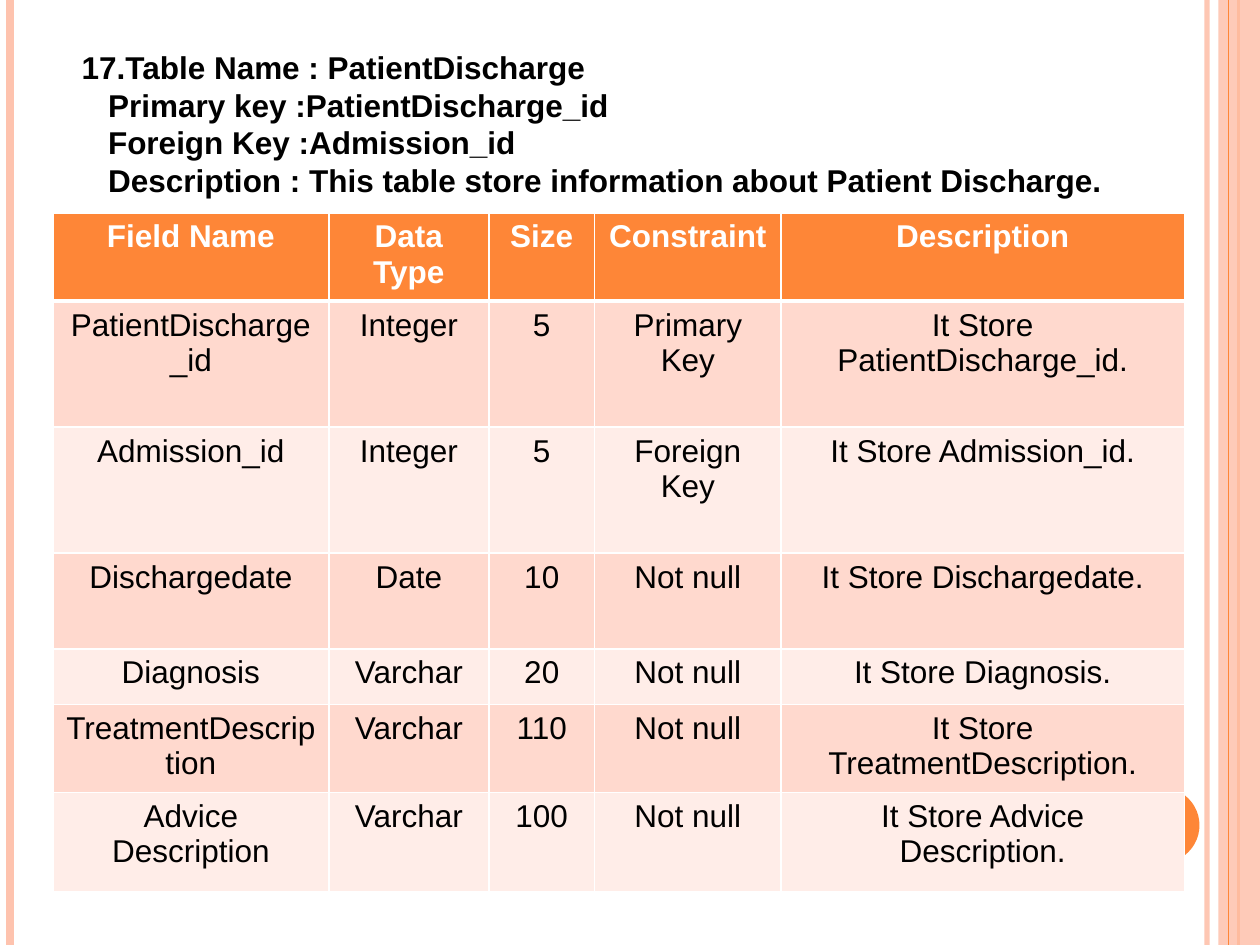
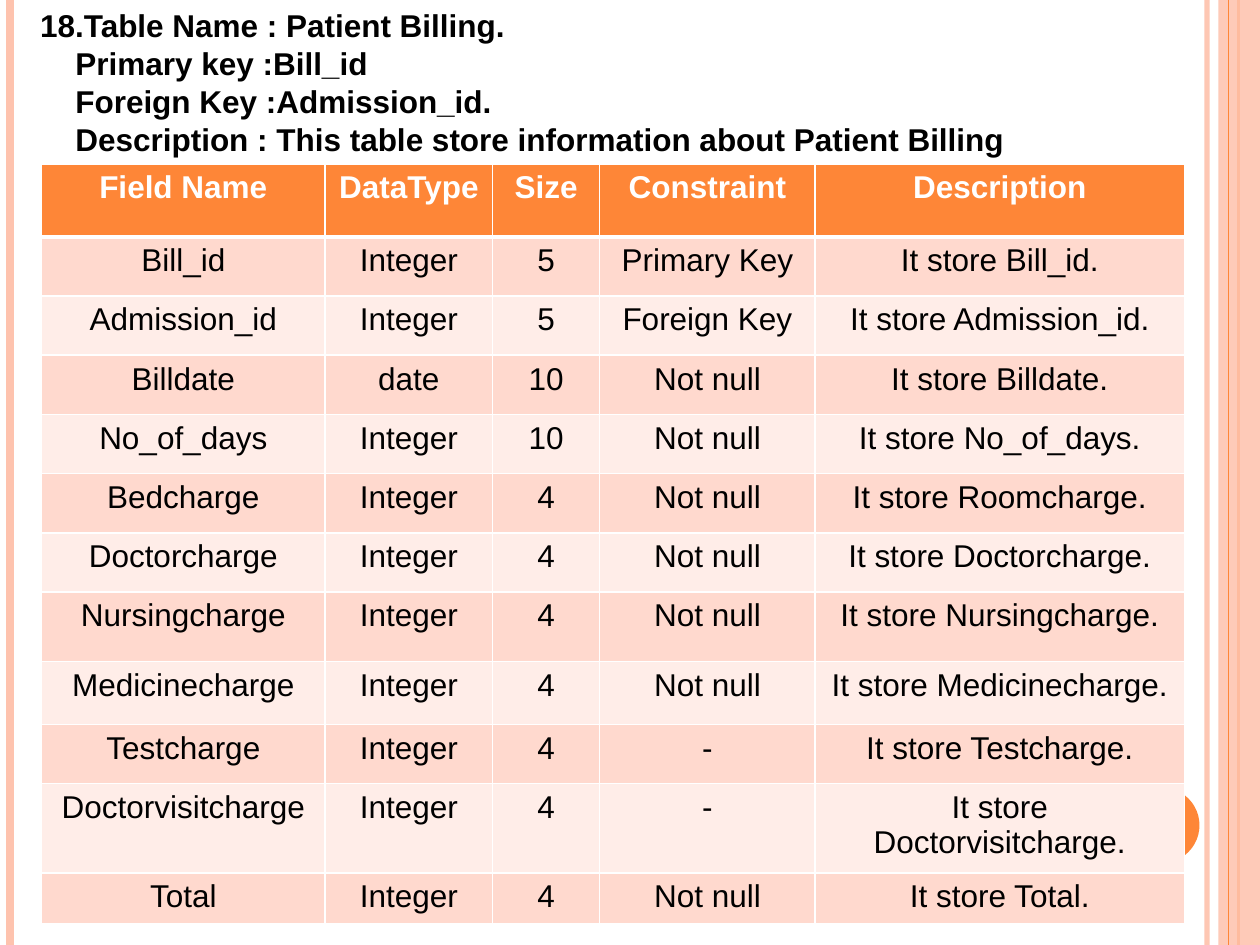
from dataclasses import dataclass

from lxml import etree
from pptx import Presentation
from pptx.dml.color import RGBColor
from pptx.enum.shapes import MSO_CONNECTOR, MSO_SHAPE
from pptx.enum.text import PP_ALIGN
from pptx.oxml.ns import qn
from pptx.util import Inches, Pt

LINE = MSO_CONNECTOR.STRAIGHT
RECT, OVAL = MSO_SHAPE.RECTANGLE, MSO_SHAPE.OVAL
MID = PP_ALIGN.CENTER


@dataclass(frozen=True)
class Theme:
    font: str = "Arial"
    size: float = 18
    lead: float = 21.6
    text: str = "000000"
    white: str = "FFFFFF"
    main: str = "FE8637"
    soft: str = "FEC3AE"
    bands: tuple = ("FFD9CE", "FFEDE8")
    thin: float = 1
    thick: float = 3


THEME = Theme()
WIDE, HIGH = 10, 7.5

# x, colour, points, opacity in percent
LEFT_RULES = [(9.58, THEME.soft, 3, 93), (0.08, THEME.soft, 4.5, 100),
              (9.83, THEME.main, 1.5, 100)]
TOP_RULES = [(9.75, THEME.main, 0.75, 100)]

SLIDES = [
    {
        "head": ["17.Table Name : PatientDischarge",
                 "Primary key :PatientDischarge_id",
                 "Foreign Key :Admission_id",
                 "Description : This table store information about Patient Discharge."],
        "box": (0.55, 0.33, 8.7, 1.31),
        "dents": (0, 0.21),
        "spot": (0.42, 1.69),
        "cols": [2.19, 1.27, 0.84, 1.48, 3.2],
        "highs": [0.7, 1, 1, 0.76, 0.44, 0.7, 0.79],
        "rows": [
            ("Field Name", "Data Type", "Size", "Constraint", "Description"),
            ("PatientDischarge_id", "Integer", "5", "Primary Key",
             "It Store PatientDischarge_id."),
            ("Admission_id", "Integer", "5", "Foreign Key", "It Store Admission_id."),
            ("Dischargedate", "Date", "10", "Not null", "It Store Dischargedate."),
            ("Diagnosis", "Varchar", "20", "Not null", "It Store Diagnosis."),
            ("TreatmentDescription", "Varchar", "110", "Not null",
             "It Store TreatmentDescription."),
            ("Advice Description", "Varchar", "100", "Not null",
             "It Store Advice Description."),
        ],
    },
    {
        "head": ["18.Table Name : Patient Billing.",
                 "Primary key :Bill_id",
                 "Foreign Key :Admission_id.",
                 "Description : This table store information about Patient Billing"],
        "box": (0.08, 0, 8.67, 1.31),
        "dents": (0.14, 0.42),
        "spot": (0.33, 1.3),
        "cols": [2.25, 1.33, 0.85, 1.71, 2.93],
        "highs": [0.58] + [0.47] * 6 + [0.55, 0.5, 0.47, 0.71, 0.4],
        "rows": [
            ("Field Name", "DataType", "Size", "Constraint", "Description"),
            ("Bill_id", "Integer", "5", "Primary Key", "It store Bill_id."),
            ("Admission_id", "Integer", "5", "Foreign Key", "It store Admission_id."),
            ("Billdate", "date", "10", "Not null", "It store Billdate."),
            ("No_of_days", "Integer", "10", "Not null", "It store No_of_days."),
            ("Bedcharge", "Integer", "4", "Not null", "It store Roomcharge."),
            ("Doctorcharge", "Integer", "4", "Not null", "It store Doctorcharge."),
            ("Nursingcharge", "Integer", "4", "Not null", "It store Nursingcharge."),
            ("Medicinecharge", "Integer", "4", "Not null", "It store Medicinecharge."),
            ("Testcharge", "Integer", "4", "-", "It store Testcharge."),
            ("Doctorvisitcharge", "Integer", "4", "-", "It store Doctorvisitcharge."),
            ("Total", "Integer", "4", "Not null", "It store Total."),
        ],
    },
]


def rgb(code):
    return RGBColor.from_string(code)


def fade(part, alpha):
    """Set the opacity, in percent, of the solid colour within a shape's spPr."""
    if alpha < 100:
        tone = next(part._element.spPr.iter(qn("a:srgbClr")))
        etree.SubElement(tone, qn("a:alpha"), val=str(alpha * 1000))


def style(para, color, bold):
    para.font.color.rgb = rgb(color)
    looks = {"name": THEME.font, "size": Pt(THEME.size), "bold": bold}
    for key, value in looks.items():
        setattr(para.font, key, value)


def add_rules(slide, rules):
    for x, color, width, alpha in rules:
        rule = slide.shapes.add_connector(LINE, Inches(x), 0, Inches(x), Inches(HIGH))
        rule.line.color.rgb = rgb(color)
        rule.line.width = Pt(width)
        fade(rule, alpha)
        etree.SubElement(rule._element.spPr, qn("a:effectLst"))


def add_solid(slide, kind, at, color, alpha=100):
    shape = slide.shapes.add_shape(kind, *map(Inches, at))
    shape.shadow.inherit = False
    shape.fill.solid()
    shape.fill.fore_color.rgb = rgb(color)
    shape.line.fill.background()
    fade(shape, alpha)


def add_frame(slide):
    """Draw the side bands and the disc that every slide shares."""
    add_rules(slide, LEFT_RULES)
    add_solid(slide, RECT, (9.67, 0, 0.33, HIGH), THEME.soft, 87)
    add_rules(slide, TOP_RULES)
    add_solid(slide, OVAL, (8.92, 6.25, 0.6, 0.6), THEME.main)


def add_edges(cell, row):
    """Rule a cell in white, with a thick line under the header row."""
    widths = {"L": THEME.thin, "R": THEME.thin,
              "T": THEME.thick if row == 1 else THEME.thin,
              "B": THEME.thick if row == 0 else THEME.thin}
    props = cell._tc.get_or_add_tcPr()
    for side, width in widths.items():
        edge = etree.SubElement(props, qn(f"a:ln{side}"), w=str(Pt(width)))
        fill = etree.SubElement(edge, qn("a:solidFill"))
        etree.SubElement(fill, qn("a:srgbClr"), val=THEME.white)


def add_grid(slide, data):
    rows, cols, highs = data["rows"], data["cols"], data["highs"]
    size = (*data["spot"], sum(cols), sum(highs))
    grid = slide.shapes.add_table(len(rows), len(cols), *map(Inches, size)).table
    for col, width in zip(grid.columns, cols):
        col.width = Inches(width)
    for row, high in zip(grid.rows, highs):
        row.height = Inches(high)
    for r, texts in enumerate(rows):
        top = r == 0
        for c, text in enumerate(texts):
            cell = grid.cell(r, c)
            add_edges(cell, r)
            cell.fill.solid()
            cell.fill.fore_color.rgb = rgb(THEME.main if top else THEME.bands[(r - 1) % 2])
            cell.text = text
            para = cell.text_frame.paragraphs[0]
            para.alignment = MID
            style(para, THEME.white if top else THEME.text, top)


def add_head(slide, data):
    frame = slide.shapes.add_textbox(*map(Inches, data["box"])).text_frame
    frame.word_wrap = True
    frame.text = "\n".join(data["head"])
    first, rest = data["dents"]
    for i, para in enumerate(frame.paragraphs):
        props = para._p.get_or_add_pPr()
        props.set("marL", str(Inches(rest if i else first)))
        props.set("indent", "0")
        para.line_spacing = Pt(THEME.lead)
        style(para, THEME.text, True)


def main():
    deck = Presentation()
    deck.slide_width, deck.slide_height = Inches(WIDE), Inches(HIGH)
    for data in SLIDES:
        slide = deck.slides.add_slide(deck.slide_layouts[6])
        add_frame(slide)
        add_grid(slide, data)
        add_head(slide, data)
    deck.save("out.pptx")


if __name__ == "__main__":
    main()
